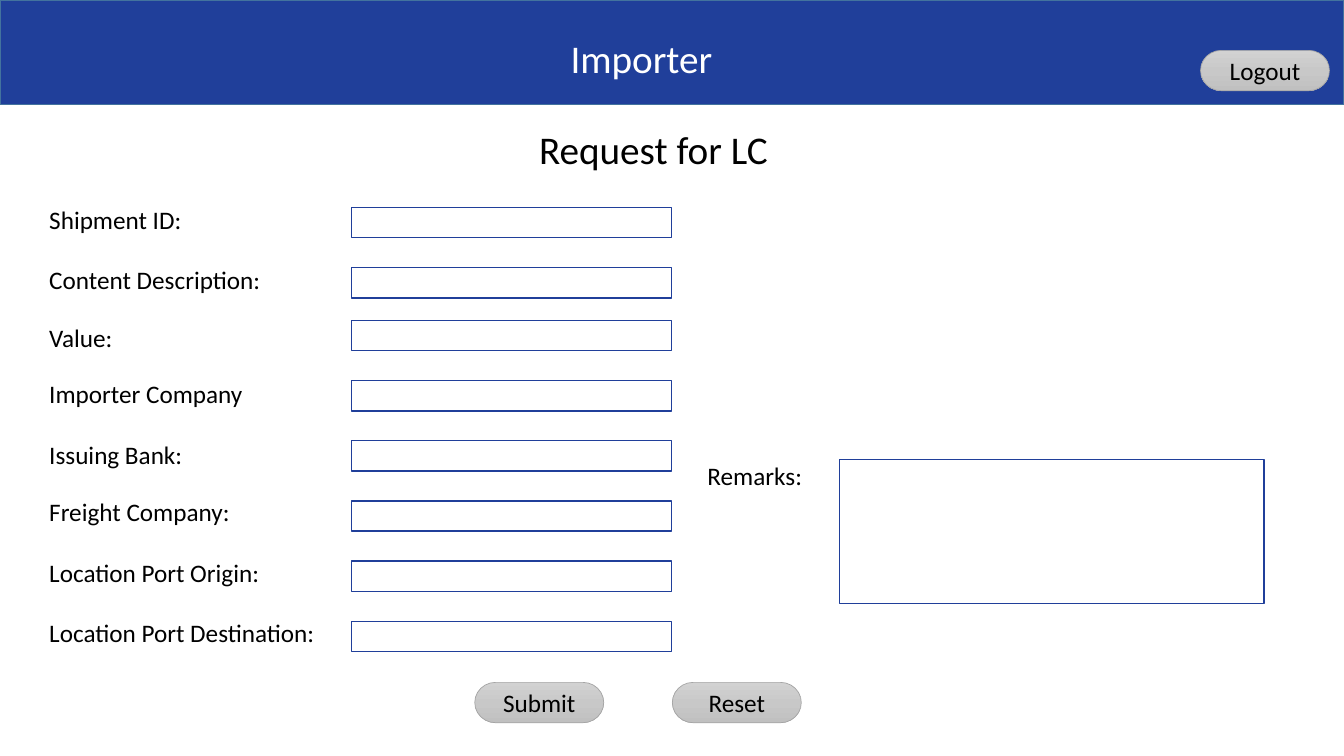
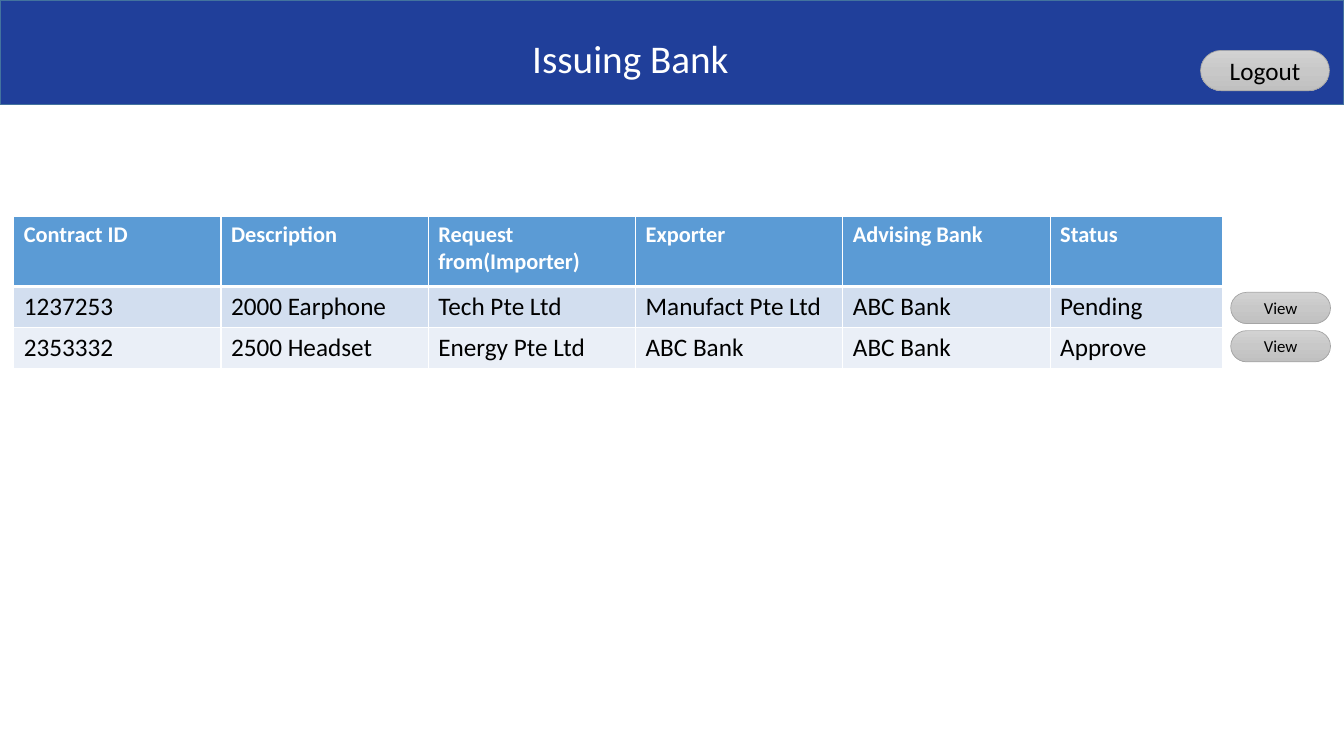
from copy import deepcopy

from lxml import etree
from pptx import Presentation
from pptx.dml.color import RGBColor
from pptx.enum.shapes import MSO_SHAPE
from pptx.enum.text import MSO_ANCHOR, MSO_AUTO_SIZE, PP_ALIGN
from pptx.oxml.ns import qn
from pptx.util import Emu, Pt

RECTANGLE = MSO_SHAPE.RECTANGLE
PILL = MSO_SHAPE.FLOWCHART_TERMINATOR
TOP, MIDDLE = MSO_ANCHOR.TOP, MSO_ANCHOR.MIDDLE
LEFT, CENTER = PP_ALIGN.LEFT, PP_ALIGN.CENTER
NO_AUTOFIT = MSO_AUTO_SIZE.NONE

# The slide is a grid of square cells, 40 columns by 22.5 rows.
COLUMNS, ROWS = 40, 22.5
CELL = 304800
TITLE_ONLY = 5

FONT = "Calibri"
COLORS = {
    "navy": "203F9A",
    "band_edge": "43739E",
    "button_edge": "A5A5A5",
    "black": "000000",
    "white": "FFFFFF",
    "header": "5B9BD5",
    "odd_row": "D2DEEF",
    "even_row": "EAEFF7",
}
BUTTON_STOPS = ((0, "D2D2D2"), (0.5, "C8C8C8"), (1, "C0C0C0"))
BUTTON_SIZE = (3.84, 1.2)
VIEW_SIZE = (2.97, 0.93)
TEXT_HEIGHT = 1.2

# Each label with its own top row; the fields follow a regular step.
FORM_LABELS = (
    ("Shipment ID:", 6.03),
    ("Content Description:", 7.83),
    ("Value:", 9.54),
    ("Importer Company", 11.22),
    ("Issuing Bank:", 13.02),
    ("Freight Company:", 14.73),
    ("Location Port Origin:", 16.53),
    ("Location Port Destination:", 18.33),
)
FIELD_TOP, FIELD_STEP, FIELD_SHIFT = 6.18, 1.79, 0.22

CONTRACTS = (
    ("Contract ID", "Description", "Request from(Importer)", "Exporter",
     "Advising Bank", "Status"),
    ("1237253", "2000 Earphone", "Tech Pte Ltd", "Manufact Pte Ltd",
     "ABC Bank", "Pending"),
    ("2353332", "2500 Headset", "Energy Pte Ltd", "ABC Bank", "ABC Bank",
     "Approve"),
)
COLUMN_WIDTHS = (6.17,) * 5 + (5.13,)
ROW_HEIGHTS = (2.1, 1.22, 1.22)


def cells(*counts):
    """Turn counts of grid cells into lengths."""
    return [Emu(round(count * CELL)) for count in counts]


def color(name):
    """Look up a named colour."""
    return RGBColor.from_string(COLORS[name])


def apply(target, values):
    """Set attributes from a dict of format values."""
    for name, value in values.items():
        setattr(target, name, value)


def write(frame, text, size, ink="black", bold=False, **paragraph):
    """Write one formatted paragraph into a text frame."""
    para = frame.paragraphs[0]
    apply(para, paragraph)
    span = para.add_run()
    span.text = text
    apply(span.font, {"name": FONT, "size": Pt(size), "bold": bold})
    span.font.color.rgb = color(ink)


def write_line(box, text, size, ink="black"):
    """Write a left-aligned line at the top of a box."""
    apply(box.text_frame, {"word_wrap": True, "vertical_anchor": TOP,
                           "auto_size": NO_AUTOFIT})
    write(box.text_frame, text, size, ink, alignment=LEFT,
          line_spacing=0.9, space_before=Pt(10))


def add_label(page, text, area, size=18):
    """Add a line of text in a text box."""
    write_line(page.shapes.add_textbox(*cells(*area)), text, size)


def add_box(page, area, kind=RECTANGLE, fill=None, edge="navy", weight=1):
    """Add an outlined shape, hollow unless a fill is named."""
    box = page.shapes.add_shape(kind, *cells(*area))
    box.shadow.inherit = False
    if fill:
        box.fill.solid()
        box.fill.fore_color.rgb = color(fill)
    else:
        box.fill.background()
    box.line.color.rgb = color(edge)
    box.line.width = Pt(weight)
    return box


def add_button(page, text, left, top, extent=BUTTON_SIZE, size=18):
    """Add a grey gradient button with a centred caption."""
    button = add_box(page, (left, top, *extent), PILL,
                     edge="button_edge", weight=0.5)
    button.fill.gradient()
    button.fill.gradient_angle = 270
    stops = button.element.spPr.find(".//" + qn("a:gsLst"))
    stops.insert(1, deepcopy(stops[0]))
    for stop, (position, tone) in zip(button.fill.gradient_stops, BUTTON_STOPS):
        stop.position = position
        stop.color.rgb = RGBColor.from_string(tone)
    button.text_frame.vertical_anchor = MIDDLE
    write(button.text_frame, text, size, alignment=CENTER)


def add_page(deck, title, left, width):
    """Add a slide with the blue band, its title and the logout button."""
    page = deck.slides.add_slide(deck.slide_layouts[TITLE_ONLY])
    heading = page.shapes.title
    band = add_box(page, (0, 0, COLUMNS, 3.12), fill="navy", edge="band_edge")
    heading.element.addprevious(band.element)
    places = cells(left, 1.02, width, TEXT_HEIGHT)
    apply(heading, dict(zip(("left", "top", "width", "height"), places)))
    write_line(heading, title, 28, "white")
    add_button(page, "Logout", 35.73, 1.5)
    return page


def set_borders(cell, bottom):
    """Draw white borders around a table cell."""
    properties = cell._tc.get_or_add_tcPr()
    for side, weight in (("L", 1), ("R", 1), ("T", 1), ("B", bottom)):
        line = etree.SubElement(properties, qn("a:ln" + side), w=str(Pt(weight)))
        fill = etree.SubElement(line, qn("a:solidFill"))
        etree.SubElement(fill, qn("a:srgbClr"), val=COLORS["white"])


def add_contracts(page, left, top):
    """Add the table of contracts."""
    area = cells(left, top, sum(COLUMN_WIDTHS), sum(ROW_HEIGHTS))
    table = page.shapes.add_table(len(CONTRACTS), len(COLUMN_WIDTHS), *area).table
    for column, width in zip(table.columns, cells(*COLUMN_WIDTHS)):
        column.width = width
    for row, height in zip(table.rows, cells(*ROW_HEIGHTS)):
        row.height = height
    styles = (
        ("header", 3, {"size": 16, "ink": "white", "bold": True}),
        ("odd_row", 1, {"size": 18}),
        ("even_row", 1, {"size": 18}),
    )
    for row, texts, (fill, bottom, style) in zip(table.rows, CONTRACTS, styles):
        for cell, text in zip(row.cells, texts):
            set_borders(cell, bottom)
            cell.fill.solid()
            cell.fill.fore_color.rgb = color(fill)
            write(cell.text_frame, text, **style)


def build_request(deck):
    """Build the importer's request form."""
    page = add_page(deck, "Importer", 16.68, 5.31)
    add_label(page, "Request for LC", (15.75, 3.75, 8.5, TEXT_HEIGHT), 28)
    for index, (text, top) in enumerate(FORM_LABELS):
        add_label(page, text, (1.17, top, 8.8, TEXT_HEIGHT))
        shift = FIELD_SHIFT if index > 1 else 0
        field_top = FIELD_TOP + index * FIELD_STEP - shift
        add_box(page, (10.47, field_top, 9.51, 0.9))
    add_label(page, "Remarks:", (20.76, 13.65, 8.04, TEXT_HEIGHT))
    add_box(page, (24.99, 13.68, 12.63, 4.29))
    for text, left in (("Submit", 14.13), ("Reset", 20.01)):
        add_button(page, text, left, 20.31)


def build_contracts(deck):
    """Build the issuing bank's list of contracts."""
    page = add_page(deck, "Issuing Bank", 15.54, 9.03)
    add_contracts(page, 0.41, 6.43)
    for index in range(len(CONTRACTS) - 1):
        add_button(page, "View", 36.63, 8.7 + 1.14 * index, VIEW_SIZE, 12)


def main():
    """Build and save the deck."""
    deck = Presentation()
    deck.slide_width, deck.slide_height = cells(COLUMNS, ROWS)
    build_request(deck)
    build_contracts(deck)
    deck.save("out.pptx")


main()
